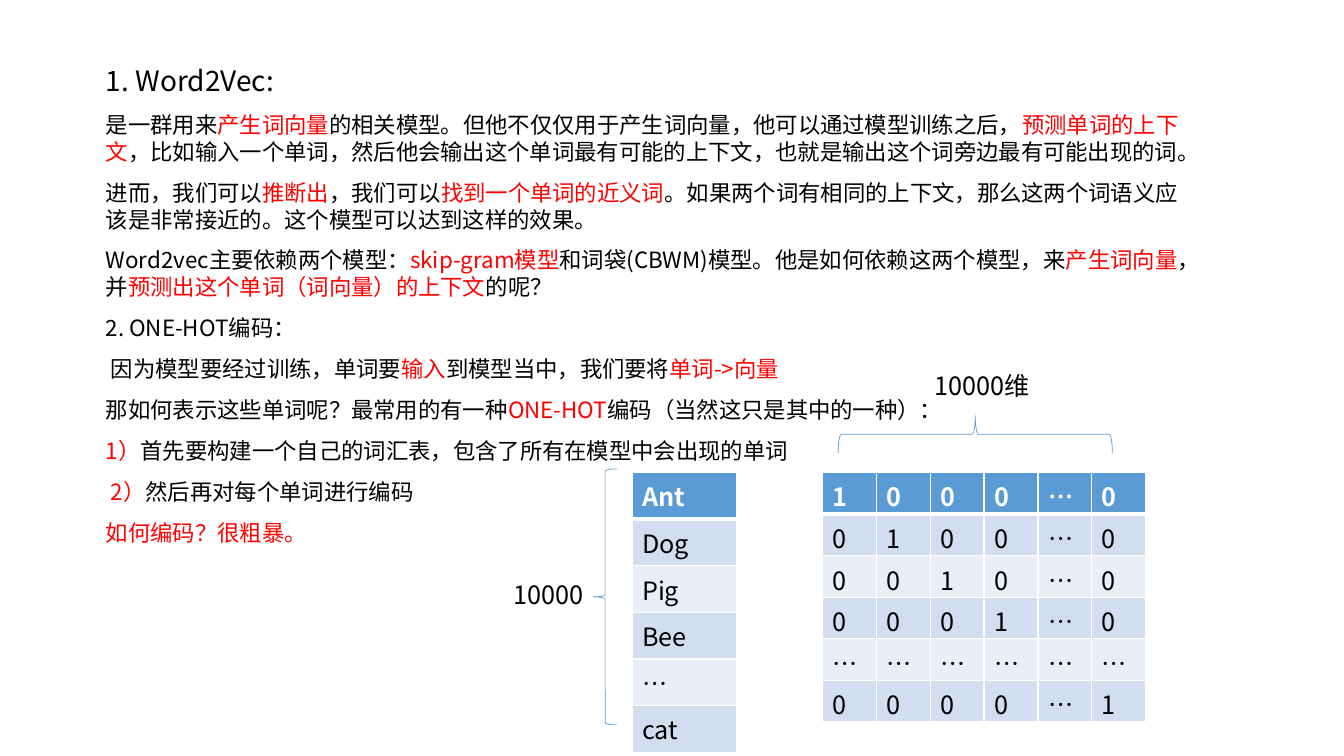
from dataclasses import dataclass

from lxml import etree
from pptx import Presentation
from pptx.dml.color import RGBColor
from pptx.enum.shapes import MSO_SHAPE
from pptx.enum.text import MSO_ANCHOR, MSO_AUTO_SIZE, PP_ALIGN
from pptx.oxml.ns import qn
from pptx.util import Emu, Inches, Pt

LEFT, TOP = PP_ALIGN.LEFT, MSO_ANCHOR.TOP
LEFT_BRACE = MSO_SHAPE.LEFT_BRACE
NO_AUTOFIT = MSO_AUTO_SIZE.NONE

FONT = "Noto Sans CJK SC"
COLORS = {"text": "000000", "key": "FF0000", "white": "FFFFFF",
          "header": "5B9BD5", "odd": "D2DEEF", "even": "EAEFF7"}
WIDTH, HEIGHT = Inches(13.33), Inches(7.5)
UNIT = WIDTH / 120  # the slide is a grid of 120 square columns

PARAGRAPH_FORMAT = {"alignment": LEFT, "line_spacing": 1.0,
                    "space_before": Pt(10), "space_after": Pt(0)}
FRAME_FORMAT = {"word_wrap": True, "auto_size": NO_AUTOFIT, "vertical_anchor": TOP}

HEADING = "1. Word2Vec:"
# Key phrases stand between asterisks
BODY = [
    "是一群用来*产生词向量*的相关模型。但他不仅仅用于产生词向量，他可以通过模型训练之后，"
    "*预测单词的上下文*，比如输入一个单词，然后他会输出这个单词最有可能的上下文，"
    "也就是输出这个词旁边最有可能出现的词。",
    "进而，我们可以*推断出*，我们可以*找到一个单词的近义词*。如果两个词有相同的上下文，"
    "那么这两个词语义应该是非常接近的。这个模型可以达到这样的效果。",
    "Word2vec主要依赖两个模型：*skip-gram模型*和词袋(CBWM)模型。他是如何依赖这两个模型，来"
    "*产生词向量*，并*预测出这个单词（词向量）的上下文*的呢？",
    "2. ONE-HOT编码：",
    " 因为模型要经过训练，单词要*输入*到模型当中，我们要将*单词->向量*",
    "那如何表示这些单词呢？最常用的有一种*ONE-HOT*编码（当然这只是其中的一种）：",
    "*1）*首先要构建一个自己的词汇表，包含了所有在模型中会出现的单词",
    "* 2）*然后再对每个单词进行编码",
    "*如何编码？很粗暴。*",
]
WORDS = ["Ant", "Dog", "Pig", "Bee", "…", "cat"]
GAP = WORDS.index("…")


@dataclass
class Box:
    col: float
    row: float
    cols: float
    rows: float

    def emu(self) -> list[Emu]:
        return [Emu(round(n * UNIT)) for n in (self.col, self.row, self.cols, self.rows)]


@dataclass
class Grid:
    box: Box
    cells: list[list[str]]
    margins: dict[str, Emu]


@dataclass
class Brace:
    box: Box
    rotation: float
    label: str
    label_box: Box


def set_format(target, values: dict) -> None:
    for name, value in values.items():
        setattr(target, name, value)


def add_run(p, text: str, size: float, color: str, bold: bool = False) -> None:
    r = p.add_run()
    r.text = text
    set_format(r.font, {"name": FONT, "size": Pt(size), "bold": bold})
    r.font.color.rgb = RGBColor.from_string(COLORS[color])
    ea = etree.SubElement(r.font._element, qn("a:ea"))
    ea.set("typeface", FONT)


def add_borders(cell, header: bool) -> None:
    tc_pr = cell._tc.get_or_add_tcPr()
    for i, side in enumerate(("a:lnL", "a:lnR", "a:lnT", "a:lnB")):
        ln = etree.Element(qn(side), w=str(Pt(3 if header and side == "a:lnB" else 1)))
        fill = etree.SubElement(ln, qn("a:solidFill"))
        etree.SubElement(fill, qn("a:srgbClr"), val=COLORS["white"])
        tc_pr.insert(i, ln)


def add_grid(s, grid: Grid) -> None:
    rows, cols = len(grid.cells), len(grid.cells[0])
    table = s.shapes.add_table(rows, cols, *grid.box.emu()).table
    for i, values in enumerate(grid.cells):
        fill = "header" if i == 0 else "odd" if i % 2 else "even"
        for j, value in enumerate(values):
            cell = table.cell(i, j)
            set_format(cell, grid.margins)
            cell.fill.solid()
            cell.fill.fore_color.rgb = RGBColor.from_string(COLORS[fill])
            add_borders(cell, i == 0)
            add_run(cell.text_frame.paragraphs[0], value, 18,
                    "text" if i else "white", i == 0)


def add_brace(s, brace: Brace) -> None:
    sp = s.shapes.add_shape(LEFT_BRACE, *brace.box.emu())
    sp.rotation = brace.rotation
    sp.shadow.inherit = False
    sp.fill.background()
    sp.line.color.rgb = RGBColor.from_string(COLORS["header"])
    sp.line.width = Pt(0.5)
    tf = s.shapes.add_textbox(*brace.label_box.emu()).text_frame
    tf.word_wrap = True
    add_run(tf.paragraphs[0], brace.label, 18, "text")


def add_body(sp, box: Box) -> None:
    sp.left, sp.top, sp.width, sp.height = box.emu()
    tf = sp.text_frame
    set_format(tf, FRAME_FORMAT)
    for i, line in enumerate([HEADING, *BODY]):
        p = tf.add_paragraph() if i else tf.paragraphs[0]
        set_format(p, PARAGRAPH_FORMAT)
        for k, part in enumerate(line.split("*")):
            if part:
                add_run(p, part, 16 if i else 20, "key" if k % 2 else "text")


def one_hot(i: int, j: int) -> str:
    return "…" if GAP in (i, j) else str(int(i == j))


def main() -> None:
    prs = Presentation()
    prs.slide_width, prs.slide_height = WIDTH, HEIGHT
    s = prs.slides.add_slide(prs.slide_layouts[0])

    # Explanation
    title = s.shapes.title
    title._element.getparent().remove(title._element)
    add_body(s.placeholders[1], Box(8.55, 5.22, 98.37, 55.35))

    # Vocabulary and its one-hot vectors
    size = len(WORDS)
    vectors = [[one_hot(i, j) for j in range(size)] for i in range(size)]
    tight = {"margin_top": Inches(0.05), "margin_bottom": 0}
    for grid in (Grid(Box(56.43, 42.21, 9.36, 21.87), [[w] for w in WORDS], {}),
                 Grid(Box(73.42, 42.21, 28.89, 21.87), vectors, tight)):
        add_grid(s, grid)

    # Braces with their dimensions
    for brace in (
        Brace(Box(52.95, 41.88, 2.16, 22.86), 0, "10000", Box(45, 51.3, 8.91, 3.6)),
        Brace(Box(85.41, 26.55, 3.33, 24.48), 90, "10000维", Box(82.53, 32.67, 11.88, 3.6)),
    ):
        add_brace(s, brace)

    prs.save("out.pptx")


if __name__ == "__main__":
    main()
